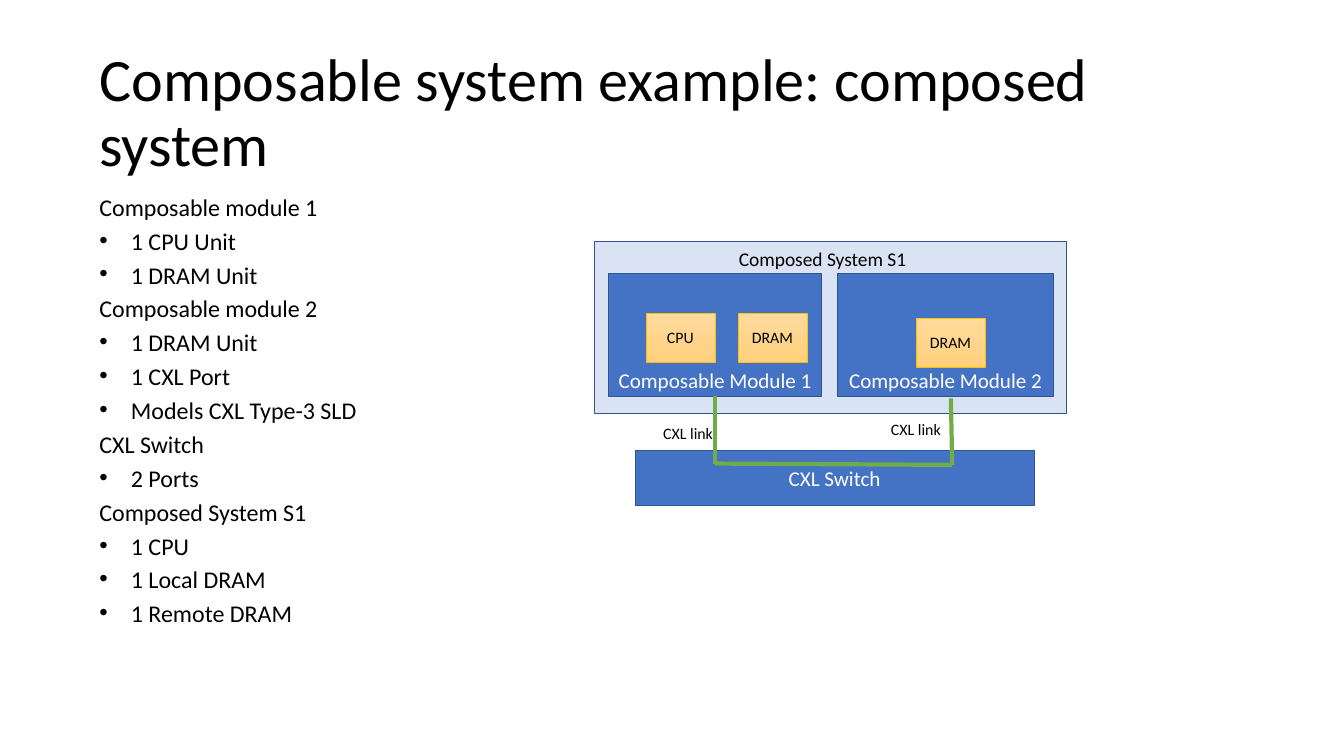
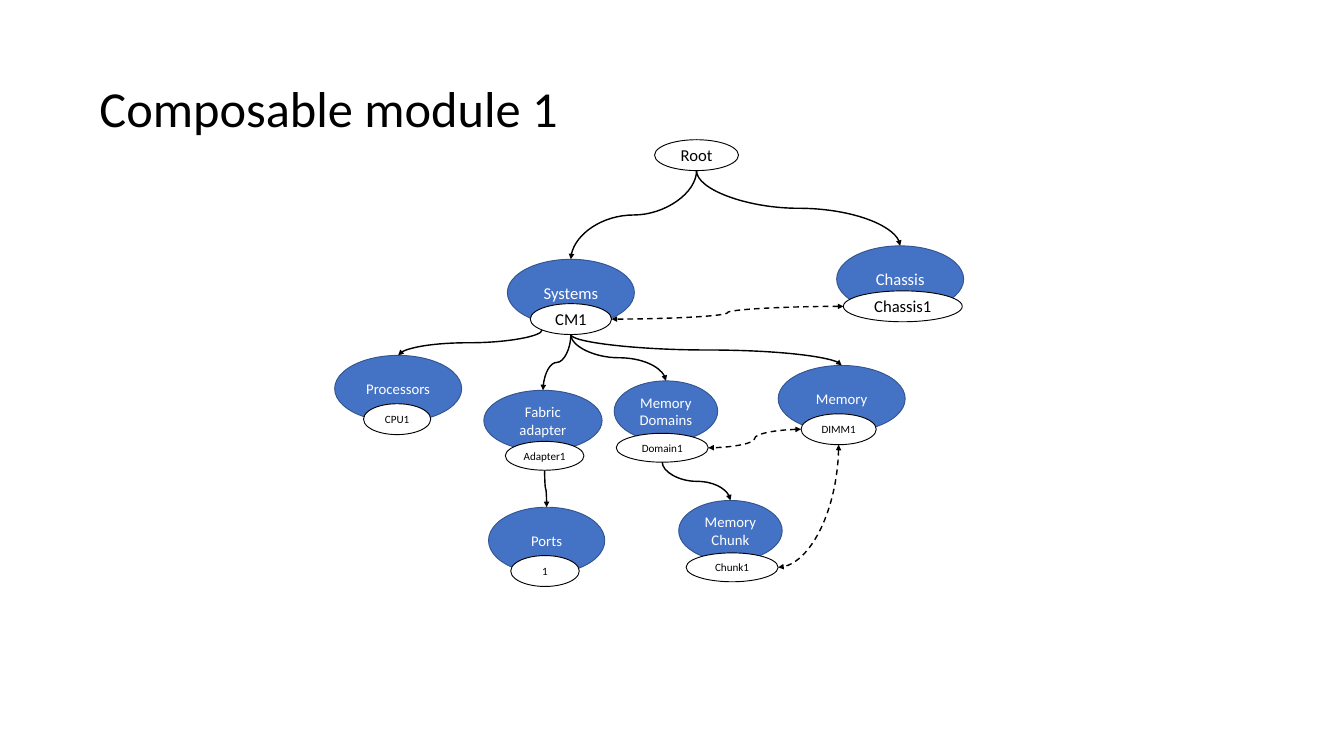
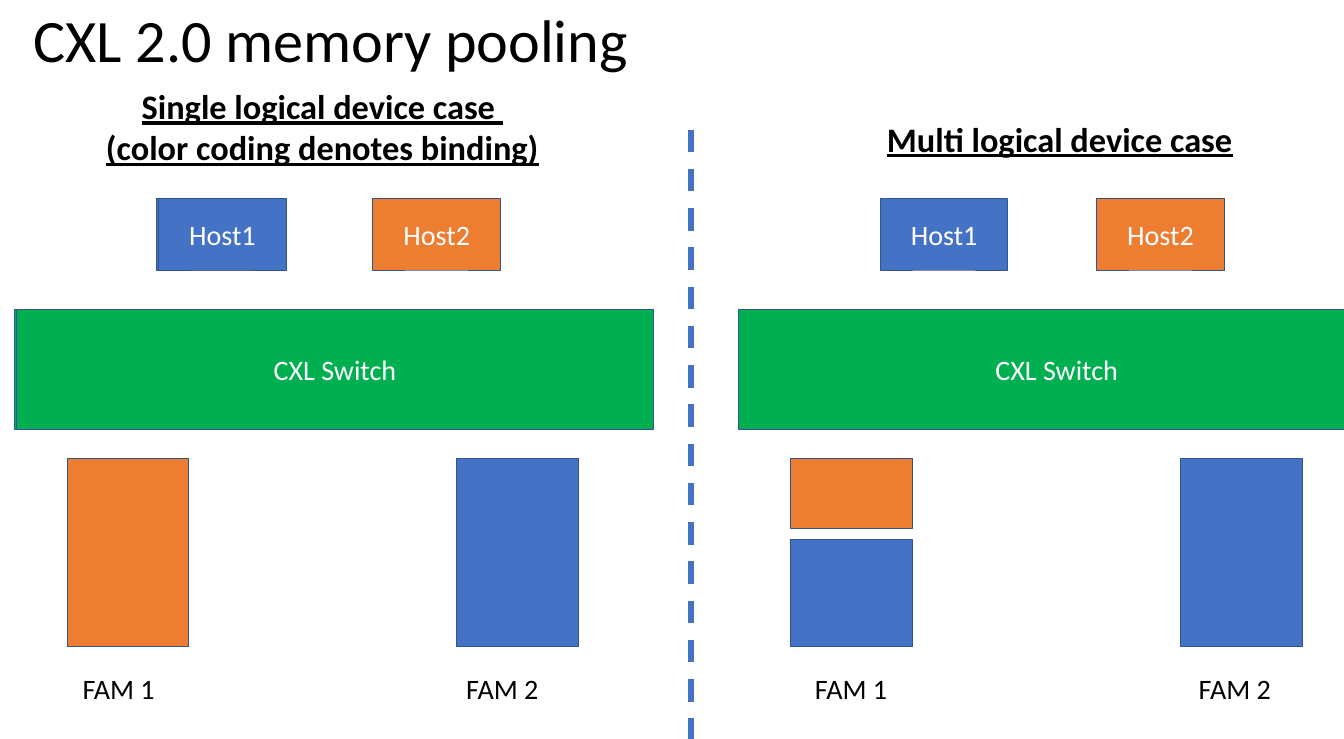
import itertools

import pptx
import pptx.dml.color
import pptx.enum.dml
import pptx.enum.shapes
import pptx.enum.text
import pptx.oxml
import pptx.oxml.ns
import pptx.util

EMU_PER_PX = 9144  # 100 px to the inch
FONT = "Calibri"
COLOURS = {
    "black": "000000", "white": "FFFFFF", "blue": "4472C4", "edge": "325491",
    "pale blue": "DAE3F3", "orange": "ED7D31", "green": "00B050",
    "link": "70AD47", "unit edge": "FFC000",
    "unit top": "FFDB9E", "unit bottom": "FFD07C",
}
RECTANGLE = pptx.enum.shapes.MSO_SHAPE.RECTANGLE
OVAL = pptx.enum.shapes.MSO_SHAPE.OVAL
CONNECTOR = pptx.enum.shapes.MSO_CONNECTOR
ANCHOR = pptx.enum.text.MSO_ANCHOR
ALIGN = pptx.enum.text.PP_ALIGN
DASH = pptx.enum.dml.MSO_LINE.DASH
TOP, BOTTOM, LEFT, RIGHT = (0, -1), (0, 1), (-1, 0), (1, 0)
BOTTOM_LEFT = (-0.71, 0.71)


def px(*lengths):
    return [pptx.util.Emu(round(length * EMU_PER_PX)) for length in lengths]


def rgb(name):
    return pptx.dml.color.RGBColor.from_string(COLOURS[name])


def add_xml(parent, tag, **attributes):
    parent.append(child := pptx.oxml.parse_xml(
        f'<a:{tag} {pptx.oxml.ns.nsdecls("a")}/>'))
    for name, value in attributes.items():
        child.set(name, str(value))


def write(shape, text, size, colour="black", align=ALIGN.LEFT, anchor=ANCHOR.TOP,
          bold=None, line_spacing=None):
    frame = shape.text_frame
    frame.word_wrap = True
    frame.auto_size = pptx.enum.text.MSO_AUTO_SIZE.NONE
    frame.vertical_anchor = anchor
    frame.text = text
    for paragraph in frame.paragraphs:
        paragraph.alignment = align
        paragraph.line_spacing = line_spacing
        for run in paragraph.runs:
            font = run.font
            font.name, font.size = FONT, pptx.util.Pt(size)
            font.bold = font.underline = bold
            font.color.rgb = rgb(colour)


def add_title_slide(presentation, text, box, size):
    slide = presentation.slides.add_slide(presentation.slide_layouts[5])
    title = slide.shapes.title
    title.left, title.top, title.width, title.height = px(*box)
    write(title, text, size, anchor=ANCHOR.MIDDLE, line_spacing=0.9)
    return slide


def add_label(slide, box, text, size, **style):
    label = slide.shapes.add_textbox(*px(*box))
    write(label, text, size, **style)
    return label


def add_block(slide, box, fill, text="", size=18, kind=RECTANGLE, edge="edge",
              edge_width=1, colour="white", anchor=ANCHOR.MIDDLE):
    block = slide.shapes.add_shape(kind, *px(*box))
    block.shadow.inherit = False
    block.fill.solid()
    block.fill.fore_color.rgb = rgb(fill)
    block.line.color.rgb = rgb(edge)
    block.line.width = pptx.util.Pt(edge_width)
    if text:
        write(block, text, size, colour, ALIGN.CENTER, anchor)
    return block


def add_line(slide, start, end, colour, width, kind=CONNECTOR.STRAIGHT, dash=None):
    line = slide.shapes.add_connector(kind, *px(*start, *end))
    line.line.color.rgb = rgb(colour)
    line.line.width = pptx.util.Pt(width)
    if dash:
        line.line.dash_style = dash
    add_xml(line._element.spPr, "effectLst")
    return line


def add_unit(slide, box, text):
    unit = add_block(slide, box, "unit top", text, 17, edge="unit edge",
                     edge_width=0.5, colour="black")
    unit.fill.gradient()
    unit.fill.gradient_angle = 270
    for stop, name in zip(unit.fill.gradient_stops, ("unit top", "unit bottom")):
        stop.color.rgb = rgb(name)


def add_outline(slide, box, sections):
    lines = [(text, bulleted) for heading, items in sections
             for text, bulleted in [(heading, False)] + [(item, True) for item in items]]
    outline = add_label(slide, box, "\n".join(text for text, _ in lines), 25.7,
                        line_spacing=0.7)
    for paragraph, (_, bulleted) in zip(outline.text_frame.paragraphs, lines):
        paragraph.space_before = pptx.util.Pt(14.7)
        if bulleted:
            properties = paragraph._p.get_or_add_pPr()
            indent, = px(47)
            properties.set("marL", str(indent))
            properties.set("indent", str(-indent))
            add_xml(properties, "buFont", typeface="Arial")
            add_xml(properties, "buChar", char="•")


def add_composed_system(slide, left, top):
    def place(x, y, width, height):
        return left + x, top + y, width, height

    add_block(slide, place(0, 0, 702, 256), "pale blue")
    modules = [
        add_block(slide, place(x, 48, width, 183), "blue", f"Composable Module {number}",
                  22.6, anchor=ANCHOR.BOTTOM)
        for number, (x, width) in enumerate([(21, 316), (362, 320)], 1)]
    add_block(slide, place(60, 311, 594, 82), "blue", "CXL Switch", 22.6)
    for x, y, text in [(76, 107, "CPU"), (213, 107, "DRAM"), (478, 114, "DRAM")]:
        add_unit(slide, place(x, y, 103, 73), text)
    for x, y in [(92, 267), (431, 260)]:
        add_label(slide, place(x, y, 182, 40), "CXL link", 17)
    add_label(slide, place(146, 4, 386, 46), "Composed System S1", 20.8, align=ALIGN.CENTER)

    corners = [(left + x, top + y) for x, y in [(179, 231), (179, 331), (532, 333), (530, 234)]]
    links = [add_line(slide, start, end, "link", 4.5)
             for start, end in itertools.pairwise(corners)]
    links[0].begin_connect(modules[0], 2)


def build_composed_system(presentation):
    slide = add_title_slide(presentation, "Composable system example: composed system",
                            (138, 59, 1725, 223), 64.5)
    add_outline(slide, (138, 293, 1725, 698), [
        ("Composable module 1", ["1 CPU Unit", "1 DRAM Unit"]),
        ("Composable module 2", ["1 DRAM Unit", "1 CXL Port", "Models CXL Type-3 SLD"]),
        ("CXL Switch", ["2 Ports"]),
        ("Composed System S1", ["1 CPU", "1 Local DRAM", "1 Remote DRAM"]),
    ])
    add_composed_system(slide, 885, 359)


def site(box, direction):
    """Point on the ellipse in a box, in a unit direction from its centre."""
    left, top, width, height = box
    return (left + width * (1 + direction[0]) / 2, top + height * (1 + direction[1]) / 2)


def add_curve(slide, start, end, upright=True, quarter=False, two_way=False):
    """Curved arrow; an upright one leaves vertically, by a quarter turn of its frame."""
    (x1, y1), (x2, y2) = start, end
    if upright:
        middle_x, middle_y = (x1 + x2) / 2, (y1 + y2) / 2
        half_width, half_height = abs(y2 - y1) / 2, abs(x2 - x1) / 2
        start = (middle_x - half_width, middle_y - half_height)
        end = (middle_x + half_width, middle_y + half_height)
    curve = add_line(slide, start, end, "black", 1.5, CONNECTOR.CURVE,
                     DASH if two_way else None)
    properties = curve._element.spPr
    if upright:
        frame = properties.find(pptx.oxml.ns.qn("a:xfrm"))
        frame.set("rot", str((270 if x2 > x1 else 90) * 60000))
        if x2 > x1:
            frame.set("flipH", "1")
    if quarter:
        properties.find(pptx.oxml.ns.qn("a:prstGeom")).set("prst", "curvedConnector2")
    for tag in ("headEnd", "tailEnd") if two_way else ("tailEnd",):
        add_xml(properties.find(pptx.oxml.ns.qn("a:ln")), tag, type="triangle")


def build_module_tree(presentation):
    slide = add_title_slide(presentation, "Composable module 1", (138, 59, 1725, 213), 54)
    collections = {
        "Chassis": (1245, 366, 189, 99), "Processors": (498, 529, 189, 99),
        "Memory": (1158, 544, 189, 99), "Ports": (727, 755, 173, 99),
        "Systems": (755, 386, 189, 99), "Fabric adapter": (720, 581, 176, 90),
        "Memory\vDomains": (914, 567, 154, 90), "Memory\nChunk": (1010, 745, 154, 90),
    }
    members = {
        "Root": (974, 208, 125, 46), "Chassis1": (1255, 433, 177, 46),
        "CM1": (789, 452, 121, 46), "CPU1": (541, 601, 100, 46),
        "DIMM1": (1192, 616, 112, 46), "1": (760, 827, 102, 46),
        "Adapter1": (752, 657, 117, 43), "Domain1": (917, 645, 137, 43),
        "Chunk1": (1021, 823, 137, 43),
    }
    for name, box in collections.items():
        size = 17.8 if name in ("Chassis", "Systems") else 15.8
        add_block(slide, box, "blue", name, size, OVAL)
    for name, box in members.items():
        size = 17.8 if name in ("Root", "Chassis1", "CM1") else 11.9
        member = add_block(slide, box, "white", name, size, OVAL, "black", colour="black")
        member.text_frame.margin_left = member.text_frame.margin_right = 0

    for parent, leaving, child in [
            ("Root", BOTTOM, "Systems"), ("Root", BOTTOM, "Chassis"),
            ("CM1", BOTTOM_LEFT, "Processors"), ("CM1", BOTTOM, "Fabric adapter"),
            ("CM1", BOTTOM, "Memory\vDomains"), ("CM1", BOTTOM, "Memory"),
            ("Adapter1", BOTTOM, "Ports"), ("Domain1", BOTTOM, "Memory\nChunk")]:
        add_curve(slide, site(members[parent], leaving), site(collections[child], TOP))
    for first, leaving, second in [("Chassis1", LEFT, "CM1"), ("DIMM1", LEFT, "Domain1"),
                                   ("DIMM1", BOTTOM, "Chunk1")]:
        add_curve(slide, site(members[first], leaving), site(members[second], RIGHT),
                  upright=leaving == BOTTOM, quarter=leaving == BOTTOM, two_way=True)


def add_pool(slide, left, top, first_memory, label_shift=0, layers=(0,)):
    """Hosts, switch and memories; first_memory lists (y, height, fill) of FAM 1's parts."""
    for shift in layers:
        add_block(slide, (left + 211 + shift, top, 190, 106), "blue", "Host1", 30.1)
        add_block(slide, (left + shift, top + 164, 947, 180), "green", "CXL Switch", 30.1)
    add_block(slide, (left + 533, top, 190, 106), "orange", "Host2", 30.1)
    for y, height, fill in first_memory:
        add_block(slide, (left + 78, top + y, 181, height), fill)
    add_block(slide, (left + 658, top + 386, 181, 281), "blue")
    for number, x in enumerate((91, 662), 1):
        add_label(slide, (left + x + label_shift, top + 699, 177, 62), f"FAM {number}", 30.1)


def build_memory_pooling(presentation):
    slide = add_title_slide(presentation, "CXL 2.0 memory pooling", (40, -10, 1921, 147), 64.5)
    add_label(slide, (114, 122, 732, 137),
              "Single logical device case \n(color coding denotes binding)", 36.8,
              align=ALIGN.CENTER, bold=True)
    add_label(slide, (1310, 171, 567, 74), "Multi logical device case", 36.8, bold=True)
    add_pool(slide, 22, 296, [(386, 281, "orange")], layers=(0, 3))
    add_pool(slide, 1099, 296, [(386, 104, "orange"), (507, 160, "blue")], label_shift=13)
    add_line(slide, (1028, 193), (1028, 1100), "blue", 6, dash=DASH)


def main():
    presentation = pptx.Presentation()
    presentation.slide_width, presentation.slide_height = px(2000, 1100)
    build_composed_system(presentation)
    build_module_tree(presentation)
    build_memory_pooling(presentation)
    presentation.save("out.pptx")


if __name__ == "__main__":
    main()
